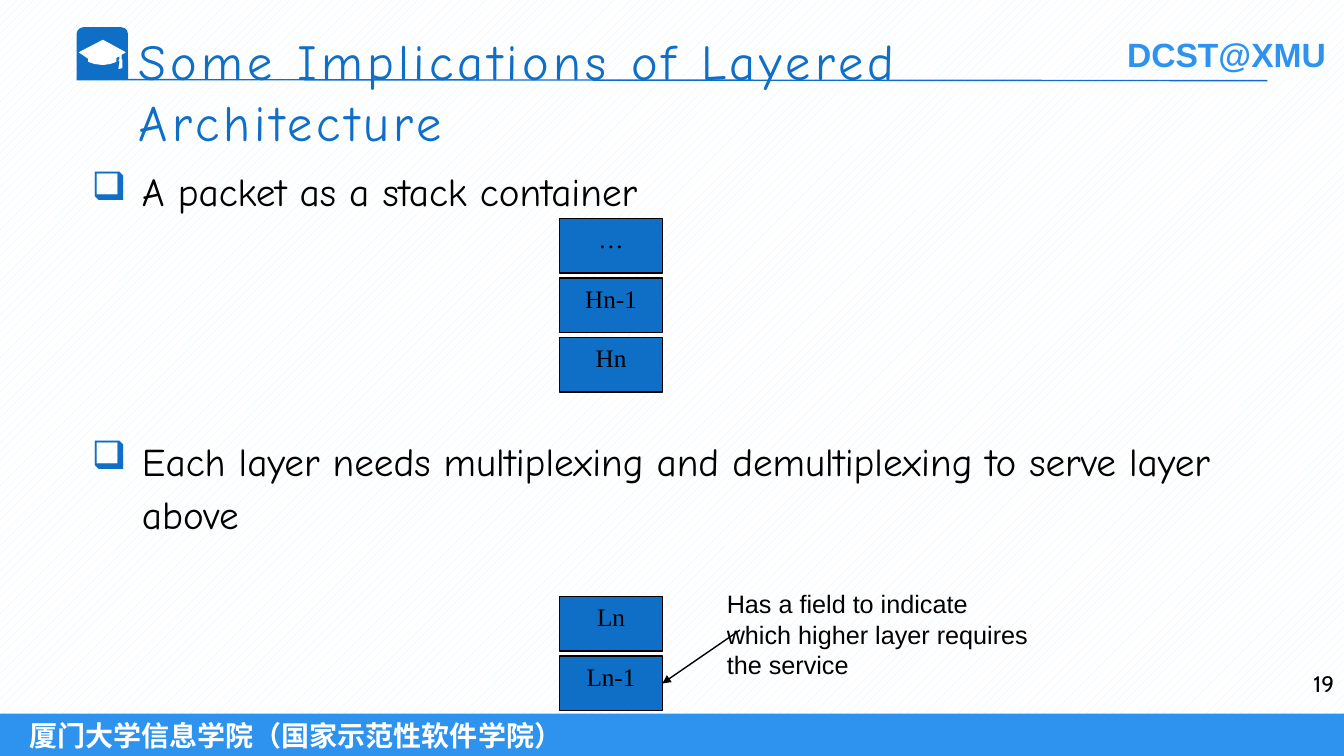
from lxml.etree import SubElement
from pptx import Presentation
from pptx.dml.color import RGBColor
from pptx.enum.dml import MSO_PATTERN
from pptx.enum.shapes import MSO_CONNECTOR, MSO_SHAPE
from pptx.enum.text import MSO_ANCHOR, PP_ALIGN
from pptx.oxml.ns import qn
from pptx.util import Inches, Pt

W, H = 13.33, 7.5
BLUE, SKY, BLACK, WHITE = "0F6FC6", "2D93EF", "000000", "FFFFFF"

TITLE = "Some Implications of Layered Architecture"
BULLETS = [
    "A packet as a stack container",
    "Each layer needs multiplexing and demultiplexing to serve layer above",
]
BULLET_GAP = 154
NOTE = "Has a field to indicate which higher layer requires the service"
FOOTER = "厦门大学信息学院（国家示范性软件学院）"
BRAND = "DCST@XMU"
PAGE = "19"

STACKS = [(2.17, ["…", "Hn-1", "Hn"]), (5.92, ["Ln", "Ln-1"])]
STACK_LEFT, BOX_W, BOX_H, PITCH = 5.55, 1.02, 0.54, 0.59

CAP = [
    [(79, 52), (102, 40), (124, 52), (120, 54), (120, 59), (121, 60), (120, 61),
     (118, 60), (119, 59), (119, 55), (115, 57), (115, 61), (109, 63), (102, 64),
     (94, 63), (88, 61), (88, 58)],
    [(119, 61), (121, 61), (121, 67), (118, 68)],
]


def rgb(value):
    """Turn a hex string into a colour."""
    return RGBColor.from_string(value)


def paint(shape, fill, line=None, width=1):
    """Give a shape a flat fill and an optional outline."""
    shape.shadow.inherit = False
    shape.fill.solid()
    shape.fill.fore_color.rgb = rgb(fill)
    if line:
        shape.line.color.rgb = rgb(line)
        shape.line.width = Pt(width)
    else:
        shape.line.fill.background()


def write(p, text, size, font, color, bold=False):
    """Add one formatted run to a paragraph."""
    r = p.add_run()
    r.text = text
    r.font.size, r.font.name, r.font.bold = Pt(size), font, bold
    r.font.color.rgb = rgb(color)
    return r


def add_rect(s, left, top, width, height, kind=MSO_SHAPE.RECTANGLE):
    """Add a preset shape placed in inches."""
    return s.shapes.add_shape(kind, *map(Inches, (left, top, width, height)))


def add_text(s, left, top, width, height, wrap=True):
    """Add an empty text box and return its frame."""
    tf = s.shapes.add_textbox(*map(Inches, (left, top, width, height))).text_frame
    tf.word_wrap = wrap
    return tf


def add_line(s, x1, y1, x2, y2, color):
    """Add a straight connector without shadow."""
    line = s.shapes.add_connector(MSO_CONNECTOR.STRAIGHT, *map(Inches, (x1, y1, x2, y2)))
    line.line.color.rgb, line.line.width = rgb(color), Pt(1)
    SubElement(line.element.spPr, qn("a:effectLst"))
    return line


def add_frame(s):
    """Draw the backdrop, footer, brand and header badge."""
    back = add_rect(s, 0, 0, W, H)
    paint(back, WHITE)
    back.fill.patterned()
    back.fill.pattern = MSO_PATTERN.PERCENT_20
    back.fill.fore_color.rgb, back.fill.back_color.rgb = rgb("DBEFF9"), rgb(WHITE)

    bar = add_rect(s, 0, 7.08, W, H - 7.08)
    paint(bar, SKY)
    tf = bar.text_frame
    tf.margin_left, tf.vertical_anchor = Inches(0.29), MSO_ANCHOR.MIDDLE
    tf.paragraphs[0].alignment = PP_ALIGN.LEFT
    write(tf.paragraphs[0], FOOTER, 20, "Arial", WHITE, True)

    tf = add_text(s, 11.08, 0.29, 2.2, 0.5, wrap=False)
    write(tf.paragraphs[0], BRAND, 24, "Arial", SKY, True)

    badge = add_rect(s, 0.76, 0.27, 0.51, 0.52, MSO_SHAPE.ROUND_2_SAME_RECTANGLE)
    badge.adjustments[0], badge.adjustments[1] = 0.13, 0
    paint(badge, BLUE)
    fb = s.shapes.build_freeform(*CAP[0][0], scale=Inches(0.01))
    for i, outline in enumerate(CAP):
        if i:
            fb.move_to(*outline[0])
        fb.add_line_segments(outline[1:], close=True)
    paint(fb.convert_to_shape(), WHITE, WHITE, 0.75)
    add_line(s, 0.76, 0.79, 12.57, 0.8, BLUE)


def add_bullets(s):
    """Write the bulleted statements."""
    tf = add_text(s, 0.81, 1.55, 11.61, 5.3)
    for i, text in enumerate(BULLETS):
        p = tf.add_paragraph() if i else tf.paragraphs[0]
        p.line_spacing = 1.14
        if i:
            p.space_before = Pt(BULLET_GAP)
        pPr = p._p.get_or_add_pPr()
        pPr.set("marL", str(Inches(0.5)))
        pPr.set("indent", str(-Inches(0.5)))
        SubElement(SubElement(pPr, qn("a:buClr")), qn("a:srgbClr")).set("val", BLUE)
        SubElement(pPr, qn("a:buChar")).set("char", "❑")
        write(p, text, 28, "Comic Neue", BLACK)


def add_stack(s, top, labels):
    """Pile labelled boxes downwards and return the last one."""
    for row, label in enumerate(labels):
        box = add_rect(s, STACK_LEFT, top + row * PITCH, BOX_W, BOX_H)
        paint(box, BLUE, BLACK)
        tf = box.text_frame
        tf.vertical_anchor = MSO_ANCHOR.TOP
        tf.paragraphs[0].alignment = PP_ALIGN.CENTER
        write(tf.paragraphs[0], label, 18, "Times New Roman", BLACK)
    return box


def main():
    """Build the slide and save it."""
    prs = Presentation()
    prs.slide_width, prs.slide_height = Inches(W), Inches(H)
    s = prs.slides.add_slide(prs.slide_layouts[6])
    add_frame(s)
    add_bullets(s)

    tf = add_text(s, 1.28, 0.25, 9.61, 1)
    r = write(tf.paragraphs[0], TITLE, 36, "Comic Neue", BLUE)
    r.font._element.set("spc", "300")

    tf = add_text(s, 12.56, 6.6, 0.77, 0.5)
    tf.paragraphs[0].alignment = PP_ALIGN.RIGHT
    write(tf.paragraphs[0], PAGE, 16, "Cabin", BLACK)

    for top, labels in STACKS:
        last_box = add_stack(s, top, labels)

    tf = add_text(s, 7.11, 5.79, 3.29, 1.31)
    write(tf.paragraphs[0], NOTE, 18, "Arial", BLACK)
    arrow = add_line(s, 7.34, 6.25, 6.57, 6.77, BLACK)
    arrow.end_connect(last_box, 3)
    SubElement(arrow.line._get_or_add_ln(), qn("a:tailEnd")).set("type", "triangle")

    prs.save("out.pptx")


if __name__ == "__main__":
    main()
